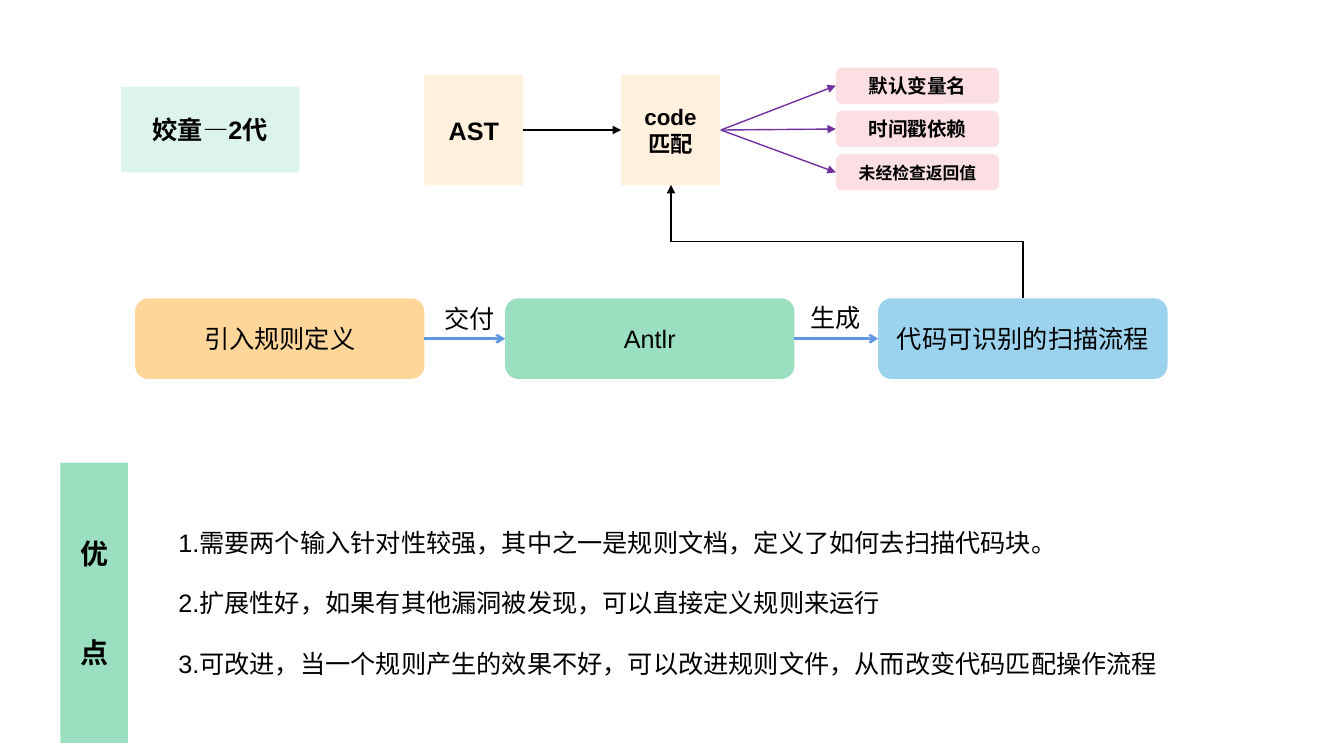
from typing import NamedTuple

from lxml.etree import SubElement
from pptx import Presentation
from pptx.dml.color import RGBColor
from pptx.enum.shapes import MSO_CONNECTOR, MSO_SHAPE
from pptx.enum.text import MSO_ANCHOR, MSO_AUTO_SIZE, PP_ALIGN
from pptx.oxml.ns import qn
from pptx.util import Inches, Pt

BLACK = RGBColor(0x00, 0x00, 0x00)
PURPLE = RGBColor(0x70, 0x30, 0xA0)
BLUE = RGBColor(0x60, 0x96, 0xE6)
MINT = RGBColor(0xDD, 0xF4, 0xEA)
CREAM = RGBColor(0xFF, 0xF1, 0xDD)
PINK = RGBColor(0xFB, 0xDF, 0xE3)
ORANGE = RGBColor(0xFF, 0xD6, 0x99)
GREEN = RGBColor(0x9A, 0xDF, 0xBF)
SKY = RGBColor(0x9B, 0xD3, 0xEF)

RECT = MSO_SHAPE.RECTANGLE
ROUND = MSO_SHAPE.ROUNDED_RECTANGLE


class Box(NamedTuple):
    text: str
    left: float
    top: float
    width: float
    height: float
    fill: RGBColor
    form: MSO_SHAPE = RECT
    size: int = 18
    bold: bool = False
    gap: int = 0


class Label(NamedTuple):
    text: str
    left: float
    top: float
    width: float
    height: float
    wrap: bool = False
    pitch: float = 1.0


class Arrow(NamedTuple):
    start: tuple[float, float]
    end: tuple[float, float]
    color: RGBColor = BLACK
    width: float = 1
    head: str = "triangle"
    kind: MSO_CONNECTOR = MSO_CONNECTOR.STRAIGHT
    turn: int = 0


def write(frame, text: str, *, size: int = 18, bold: bool = False,
          align=PP_ALIGN.LEFT, gap: int = 0, pitch: float = 1.0) -> None:
    """Fill a text frame, one paragraph a line."""
    for i, line in enumerate(text.split("\n")):
        para = frame.add_paragraph() if i else frame.paragraphs[0]
        para.alignment = align
        para.line_spacing = pitch
        if i and gap:
            para.space_before = Pt(gap)
        run = para.add_run()
        run.text = line
        run.font.name = "Arial"
        run.font.size = Pt(size)
        run.font.bold = bold
        run.font.color.rgb = BLACK


def draw_box(slide, box: Box) -> None:
    shape = slide.shapes.add_shape(
        box.form, Inches(box.left), Inches(box.top),
        Inches(box.width), Inches(box.height))
    shape.shadow.inherit = False
    shape.fill.solid()
    shape.fill.fore_color.rgb = box.fill
    shape.line.fill.background()
    shape.text_frame.word_wrap = True
    shape.text_frame.vertical_anchor = MSO_ANCHOR.MIDDLE
    write(shape.text_frame, box.text, size=box.size, bold=box.bold,
          align=PP_ALIGN.CENTER, gap=box.gap)


def draw_label(slide, label: Label) -> None:
    frame = slide.shapes.add_textbox(
        Inches(label.left), Inches(label.top),
        Inches(label.width), Inches(label.height)).text_frame
    frame.word_wrap = label.wrap
    frame.auto_size = MSO_AUTO_SIZE.SHAPE_TO_FIT_TEXT
    write(frame, label.text, pitch=label.pitch)


def draw_arrow(slide, arrow: Arrow) -> None:
    link = slide.shapes.add_connector(
        arrow.kind, *(Inches(n) for n in arrow.start + arrow.end))
    link.line.color.rgb = arrow.color
    link.line.width = Pt(arrow.width)
    props = link.element.spPr
    SubElement(props.find(qn("a:ln")), qn("a:tailEnd"), type=arrow.head)
    SubElement(props, qn("a:effectLst"))
    if arrow.turn:
        props.find(qn("a:xfrm")).set("rot", str(arrow.turn * 60000))


# Top row: title, tree, matching and its three findings
MID = 1.29
CHECKS = [("默认变量名", 14), ("时间戳依赖", 14), ("未经检查返回值", 12)]
STEP = 0.43
TOP = [
    Box("姣童—2代", 1.2, 0.86, 1.77, 0.85, MINT, bold=True),
    Box("AST", 4.21, 0.74, 0.98, 1.1, CREAM, bold=True),
    Box("code\n匹配", 6.16, 0.74, 0.98, 1.1, CREAM, size=16, bold=True),
] + [
    Box(text, 8.29, 0.67 + STEP * i, 1.62, 0.36, PINK, ROUND, size, True)
    for i, (text, size) in enumerate(CHECKS)
]

# Middle row: the rule flow
ROW, WIDE, HIGH = 2.96, 2.87, 0.8
FLOW = [
    Box(text, left, ROW, WIDE, HIGH, fill, ROUND)
    for text, left, fill in [
        ("引入规则定义", 1.34, ORANGE),
        ("Antlr", 5.01, GREEN),
        ("代码可识别的扫描流程", 8.71, SKY),
    ]
]

# Bottom: heading and list of merits
HEADING = Box("优\n点", 0.6, 4.59, 0.67, 2.78, GREEN, size=20, bold=True, gap=46)
MERITS = "\n".join([
    "1.需要两个输入针对性较强，其中之一是规则文档，定义了如何去扫描代码块。",
    "2.扩展性好，如果有其他漏洞被发现，可以直接定义规则来运行",
    "3.可改进，当一个规则产生的效果不好，可以改进规则文件，从而改变代码匹配操作流程",
])
LABELS = [
    Label("交付", 4.31, 2.96, 0.7, 0.4),
    Label("生成", 7.94, 2.95, 0.7, 0.4),
    Label(MERITS, 1.67, 4.88, 9.91, 1.92, wrap=True, pitch=2.0),
]

# Arrows; the bent one is laid flat, then turned about its centre
ARROWS = [
    Arrow((7.15, MID), (8.29, 0.85 + STEP * i), PURPLE)
    for i in range(len(CHECKS))
] + [
    Arrow((a.left + WIDE, ROW + HIGH / 2), (b.left, ROW + HIGH / 2),
          BLUE, 1.75, "arrow")
    for a, b in zip(FLOW, FLOW[1:])
] + [
    Arrow((5.19, MID), (6.16, MID)),
    Arrow((7.84, 4.14), (8.96, 0.65), kind=MSO_CONNECTOR.ELBOW, turn=270),
]


def main() -> None:
    deck = Presentation()
    deck.slide_width = Inches(13.33)
    deck.slide_height = Inches(7.5)
    slide = deck.slides.add_slide(deck.slide_layouts[6])
    for box in TOP + FLOW + [HEADING]:
        draw_box(slide, box)
    for arrow in ARROWS:
        draw_arrow(slide, arrow)
    for label in LABELS:
        draw_label(slide, label)
    deck.save("out.pptx")


if __name__ == "__main__":
    main()
